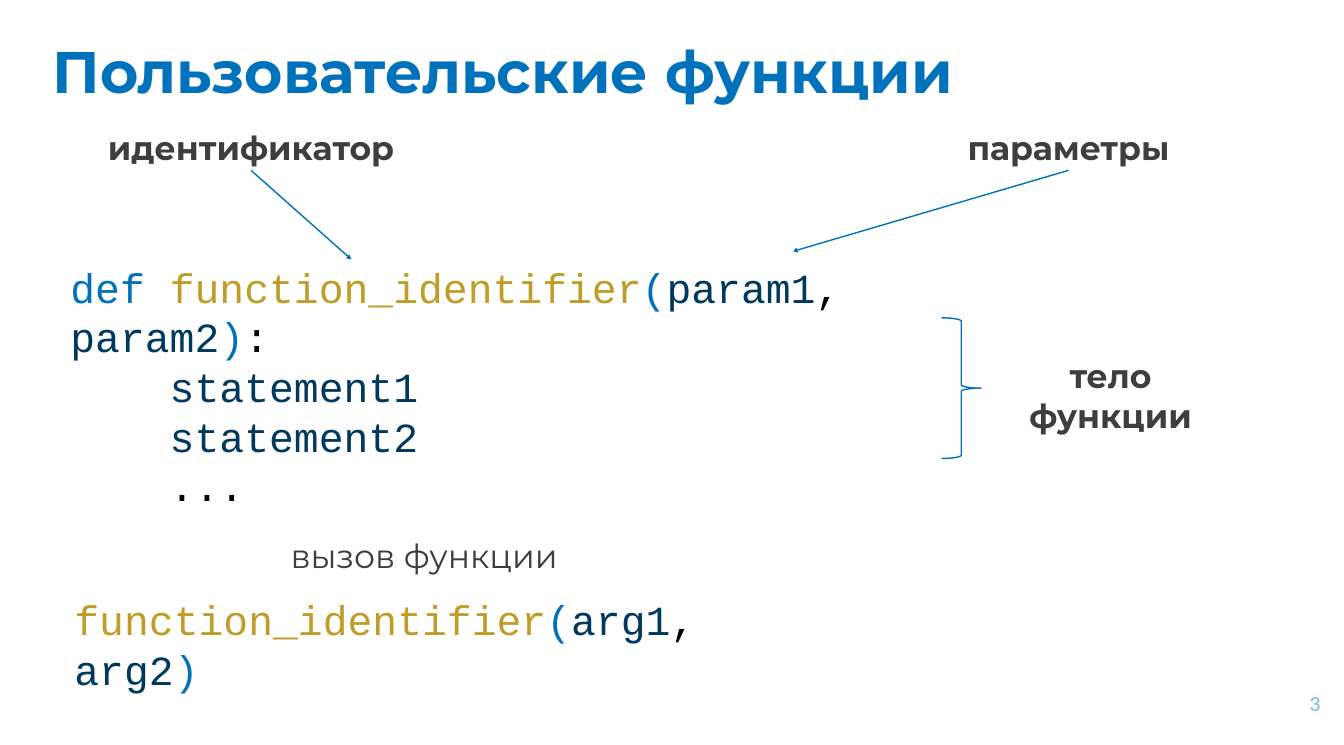
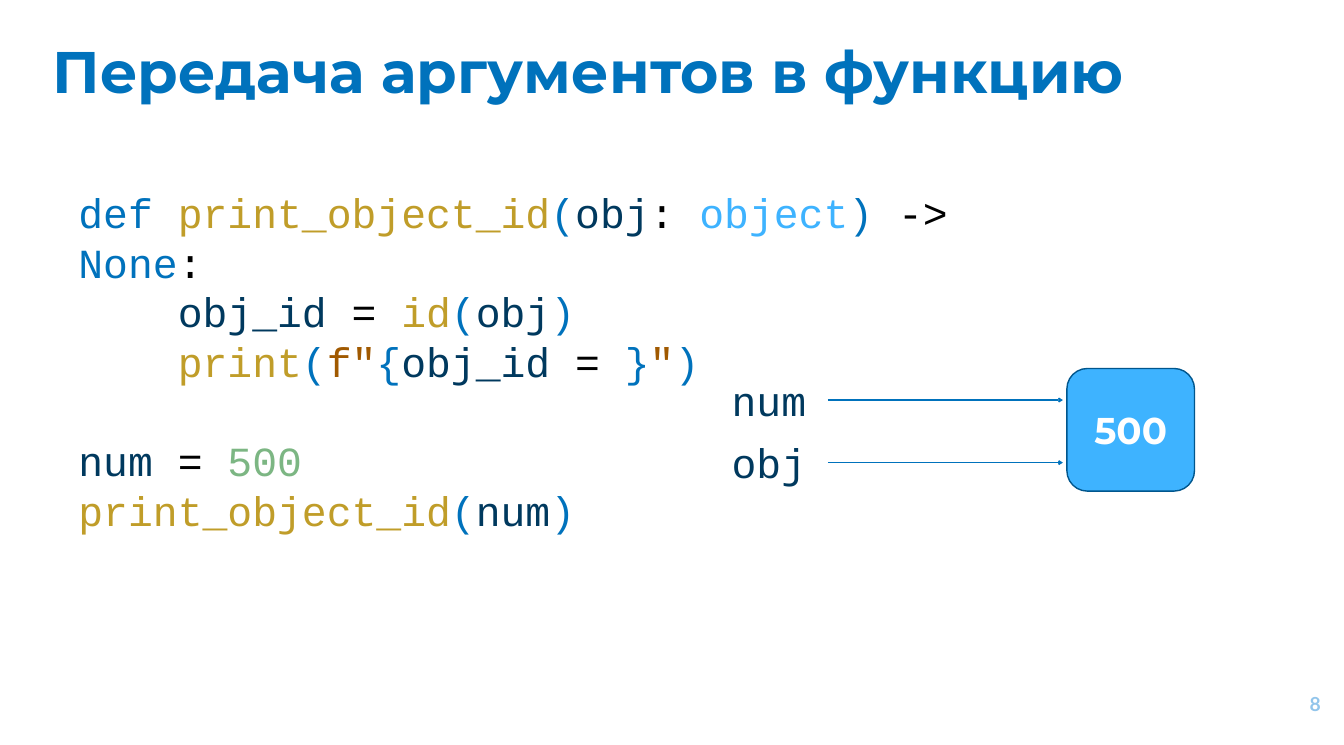
from lxml.etree import SubElement
from pptx import Presentation
from pptx.dml.color import RGBColor
from pptx.enum.shapes import MSO_CONNECTOR as LINE, MSO_SHAPE as SHAPE
from pptx.enum.text import MSO_ANCHOR as ANCHOR, MSO_AUTO_SIZE as FIT, PP_ALIGN as ALIGN
from pptx.oxml.ns import qn
from pptx.util import Pt

BLUE, NAVY, GOLD, SKY = "0072BC", "00395E", "C09D29", "3EB3FF"
BLACK, WHITE, GREY, PALE = "000000", "FFFFFF", "3E3E3E", "92C5EB"
GREEN, BROWN, EDGE = "7CB683", "A05900", "00568D"
HEADING, CODE, NUMBER = "Montserrat", "Courier New", "Lato"
BOTTOM, RIGHT = 2, 3
INDENT = " " * 4

DEFINITION = [
    [("def ", BLUE), ("function_identifier", GOLD), ("(", BLUE), ("param1", NAVY),
     (", ", BLACK), ("param2", NAVY), (")", BLUE), (":", BLACK)],
    [(INDENT + "statement1", NAVY)],
    [(INDENT + "statement2", NAVY)],
    [(INDENT + "...", BLACK)],
]
CALL = [
    [("function_identifier", GOLD), ("(", BLUE), ("arg1", NAVY), (", ", BLACK),
     ("arg2", NAVY), (")", BLUE)],
]
PRINT_ID = [
    [("def ", BLUE), ("print_object_id", GOLD), ("(", BLUE), ("obj", NAVY), (": ", BLACK),
     ("object", SKY), (")", BLUE), (" -> ", BLACK), ("None", BLUE), (":", BLACK)],
    [(INDENT + "obj_id", NAVY), (" = ", BLACK), ("id", GOLD), ("(", BLUE), ("obj", NAVY),
     (")", BLUE)],
    [(INDENT + "print", GOLD), ("(", BLUE), ('f"', BROWN), ("{", BLUE), ("obj_id", NAVY),
     (" = ", BLACK), ("}", BLUE), ('"', BROWN), (")", BLUE)],
    [],
    [("num", NAVY), (" = ", BLACK), ("500", GREEN)],
    [("print_object_id", GOLD), ("(", BLUE), ("num", NAVY), (")", BLUE)],
]


def color(hex_code):
    return RGBColor.from_string(hex_code)


def points(*lengths):
    return [Pt(length) for length in lengths]


def style(run, font, size, hex_code, bold=False):
    run.font.name = font
    run.font.size = Pt(size)
    run.font.bold = bold
    run.font.color.rgb = color(hex_code)


def write(frame, text, font, size, hex_code, bold=False, align=ALIGN.CENTER):
    frame.word_wrap = True
    frame.text = text
    for paragraph in frame.paragraphs:
        paragraph.alignment = align
        for run in paragraph.runs:
            style(run, font, size, hex_code, bold)


def add_box(slide, area, grow=False):
    box = slide.shapes.add_textbox(*points(*area))
    box.text_frame.word_wrap = True
    if grow:
        box.text_frame.auto_size = FIT.SHAPE_TO_FIT_TEXT
    return box


def add_label(slide, area, text, bold=True):
    label = add_box(slide, area, grow=True)
    write(label.text_frame, text, HEADING, 48, GREY, bold)
    return label


def add_code(slide, area, lines, grow=False, align=ALIGN.LEFT):
    code = add_box(slide, area, grow)
    frame = code.text_frame
    for number, line in enumerate(lines):
        paragraph = frame.add_paragraph() if number else frame.paragraphs[0]
        paragraph.alignment = align
        paragraph.line_spacing = Pt(72)
        for text, hex_code in line:
            run = paragraph.add_run()
            run.text = text
            style(run, CODE, 60, hex_code)
    return code


def add_shape(slide, kind, area, edge, fill=None):
    shape = slide.shapes.add_shape(kind, *points(*area))
    shape.shadow.inherit = False
    shape.line.color.rgb = color(edge)
    shape.line.width = Pt(2)
    if fill:
        shape.fill.solid()
        shape.fill.fore_color.rgb = color(fill)
    else:
        shape.fill.background()
    return shape


def add_arrow(slide, source, side, x, y):
    arrow = slide.shapes.add_connector(LINE.STRAIGHT, source.left, source.top, Pt(x), Pt(y))
    arrow.begin_connect(source, side)
    arrow.line.color.rgb = color(BLUE)
    arrow.line.width = Pt(2)
    SubElement(arrow.line._get_or_add_ln(), qn("a:tailEnd"), type="arrow")
    SubElement(arrow._element.spPr, qn("a:effectLst"))


def add_slide(deck, title, page):
    slide = deck.slides.add_slide(deck.slide_layouts[6])
    heading = add_box(slide, (69, 44, 1723, 138)).text_frame
    footer = add_box(slide, (1805, 979.2, 116.6, 82.8)).text_frame
    for frame in (heading, footer):
        frame.margin_top = frame.margin_bottom = Pt(7.2)
    write(heading, title, HEADING, 85, BLUE, True, ALIGN.LEFT)
    write(footer, str(page), NUMBER, 28, PALE, True, ALIGN.RIGHT)
    footer.vertical_anchor = ANCHOR.MIDDLE
    return slide


def build_functions(deck):
    slide = add_slide(deck, "Пользовательские функции", 3)
    add_code(slide, (95, 375.8, 1360.8, 334.8), DEFINITION)
    identifier = add_label(slide, (118, 181.4, 491.8, 65.5), "идентификатор")
    parameters = add_label(slide, (1303.2, 181.4, 491.8, 65.5), "параметры")
    add_shape(slide, SHAPE.RIGHT_BRACE, (1365.1, 460.8, 56.9, 203.8), BLUE)
    add_label(slide, (1455.8, 511.9, 308.2, 123.8), "тело\nфункции")
    add_arrow(slide, identifier, BOTTOM, 509, 375.8)
    add_arrow(slide, parameters, BOTTOM, 1149.8, 364.3)
    add_code(slide, (100.8, 857.5, 1031.8, 79.9), CALL, grow=True)
    add_label(slide, (265.7, 772.6, 698.4, 65.5), "вызов функции", bold=False)


def build_arguments(deck):
    slide = add_slide(deck, "Передача аргументов в функцию", 8)
    add_code(slide, (106.6, 267.8, 1386.7, 457.2), PRINT_ID)
    value = add_shape(slide, SHAPE.ROUNDED_RECTANGLE, (1546.6, 534.2, 185, 177.8), EDGE, SKY)
    write(value.text_frame, "500", HEADING, 54, WHITE, True)
    value.text_frame.vertical_anchor = ANCHOR.MIDDLE
    height = 79.9
    for name, top in (("num", 540), ("obj", 630.7)):
        variable = add_code(slide, (1028.9, top, 171.4, height), [[(name, NAVY)]],
                            grow=True, align=ALIGN.CENTER)
        add_arrow(slide, variable, RIGHT, 1540.8, top + height / 2)


def main():
    deck = Presentation()
    deck.slide_width, deck.slide_height = points(1948.32, 1080)
    build_functions(deck)
    build_arguments(deck)
    deck.save("out.pptx")


if __name__ == "__main__":
    main()
